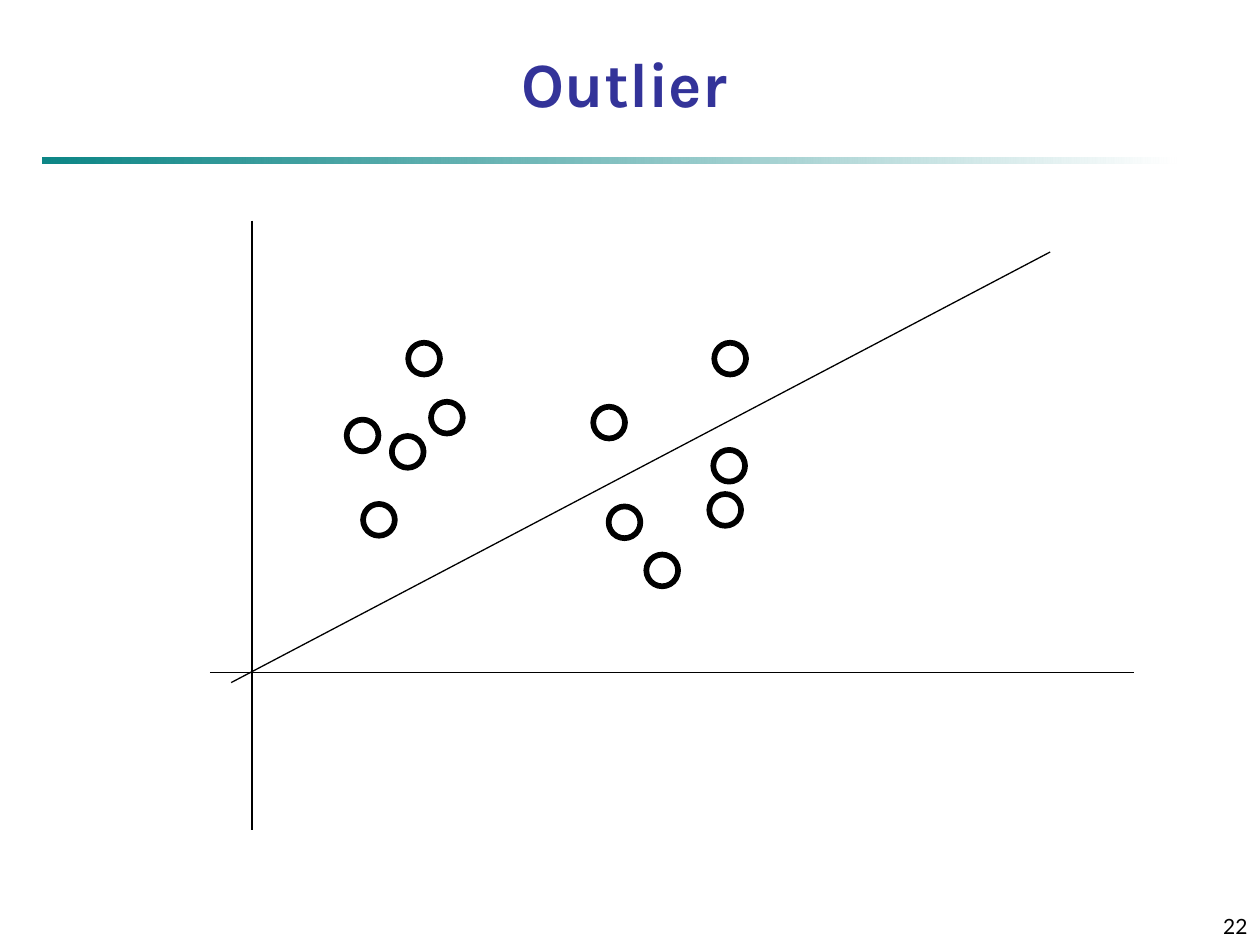
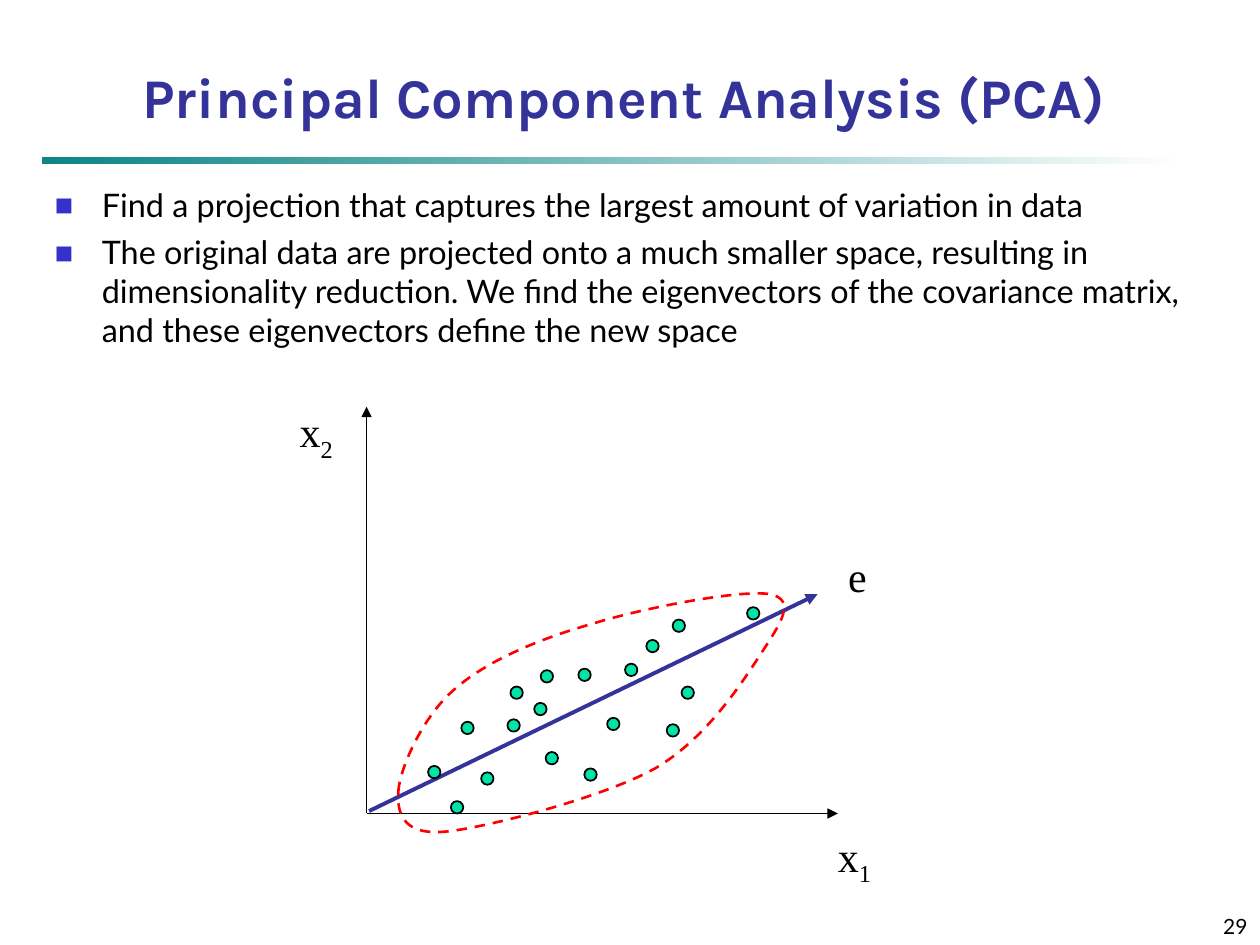
from dataclasses import dataclass

from lxml.etree import SubElement
from pptx import Presentation
from pptx.dml.color import RGBColor
from pptx.enum.dml import MSO_LINE
from pptx.enum.shapes import MSO_CONNECTOR, MSO_SHAPE
from pptx.enum.text import MSO_ANCHOR, MSO_AUTO_SIZE, PP_ALIGN
from pptx.oxml.ns import qn
from pptx.util import Cm, Pt

COLOURS = {
    "title": "333399",
    "text": "000000",
    "paper": "FFFFFF",
    "band": "008080",
    "bullet": "3333CC",
    "dot": "00E4A8",
    "cluster": "FF0000",
}
TITLE_FONT, BODY_FONT, LABEL_FONT = "Karla", "Lato", "Times New Roman"
TITLE_ONLY, TITLE_AND_BODY = 5, 1

# Left and top of each marker in cm, measured from the corner of its plot
RING_SIZE = 0.64
LEFT_RINGS = [(2.76, 4.01), (4.46, 3.65), (3.09, 5.71), (3.67, 4.34), (4, 2.46)]
RIGHT_RINGS = [(7.73, 3.75), (10.07, 5.51), (10.15, 4.62), (8.04, 5.76),
               (8.8, 6.73), (10.17, 2.46)]
DOT_SIZE = 0.25
DOTS = [(1.91, 6.35), (2.9, 5.64), (1.24, 7.24), (3.38, 5.97), (2.84, 6.3),
        (4.85, 6.27), (4.39, 7.29), (3.61, 6.96), (4.27, 5.28), (6.35, 5.64),
        (7.67, 4.04), (2.31, 7.37), (5.21, 5.18), (6.17, 4.29), (3.51, 5.31),
        (5.64, 4.7), (6.05, 6.4), (1.7, 7.95)]
# A start point, then two control points and an end point for each curve
CLUSTER_CURVE = [(0.64, 7.77),
                 (0.66, 7.32), (1.12, 6.25), (1.78, 5.69),
                 (2.44, 5.11), (3.51, 4.67), (4.57, 4.37),
                 (5.64, 4.04), (7.57, 3.68), (8.13, 3.78),
                 (8.69, 3.89), (8.33, 4.39), (7.95, 4.98),
                 (7.57, 5.56), (6.86, 6.68), (5.82, 7.29),
                 (4.78, 7.87), (2.51, 8.46), (1.65, 8.56),
                 (0.79, 8.66), (0.61, 8.26), (0.64, 7.77)]


@dataclass
class Box:
    """An area of the slide, in centimetres."""
    left: float
    top: float
    width: float
    height: float

    def point(self, x, y):
        return Cm(self.left + x), Cm(self.top + y)

    def inner(self, x, y, width, height):
        return Box(self.left + x, self.top + y, width, height)

    def frame(self):
        return Cm(self.left), Cm(self.top), Cm(self.width), Cm(self.height)


def colour(name):
    return RGBColor.from_string(COLOURS[name])


def place(shape, box):
    shape.left, shape.top, shape.width, shape.height = box.frame()


def add_span(para, text, font, size, colour_name="text", bold=False):
    span = para.add_run()
    span.text = text
    span.font.name = font
    span.font.size = Pt(size)
    span.font.bold = bold
    span.font.color.rgb = colour(colour_name)
    return span


def add_line(page, box, start, end, width, colour_name="text", arrow=False):
    line = page.shapes.add_connector(
        MSO_CONNECTOR.STRAIGHT, *box.point(*start), *box.point(*end))
    line.line.width = Pt(width)
    line.line.color.rgb = colour(colour_name)
    properties = line._element.spPr
    if arrow:
        SubElement(properties.find(qn("a:ln")), qn("a:tailEnd"), type="triangle")
    SubElement(properties, qn("a:effectLst"))


def add_markers(page, box, places, size, fill, line_width):
    for x, y in places:
        marker = page.shapes.add_shape(
            MSO_SHAPE.OVAL, *box.inner(x, y, size, size).frame())
        marker.shadow.inherit = False
        marker.fill.solid()
        marker.fill.fore_color.rgb = colour(fill)
        marker.line.color.rgb = colour("text")
        marker.line.width = Pt(line_width)


def add_label(page, box, text, subscript=""):
    label = page.shapes.add_textbox(*box.frame())
    label.text_frame.word_wrap = False
    label.text_frame.vertical_anchor = MSO_ANCHOR.MIDDLE
    para = label.text_frame.paragraphs[0]
    para.alignment = PP_ALIGN.CENTER
    add_span(para, text, LABEL_FONT, 24)
    if subscript:
        span = add_span(para, subscript, LABEL_FONT, 24)
        span.font._element.set("baseline", "-25000")


def add_cluster_outline(page, box):
    """Draw the closed dashed curve around the dots."""
    start, *rest = [box.point(x, y) for x, y in CLUSTER_CURVE]
    builder = page.shapes.build_freeform(*start)
    builder.add_line_segments(rest, close=True)
    outline = builder.convert_to_shape()
    outline.shadow.inherit = False
    outline.fill.background()
    outline.line.color.rgb = colour("cluster")
    outline.line.width = Pt(1.5)
    outline.line.dash_style = MSO_LINE.DASH

    # Each three straight segments become one Bézier curve
    segments = list(outline._element.iter(qn("a:lnTo")))
    for first in range(0, len(segments), 3):
        curve = segments[first]
        curve.tag = qn("a:cubicBezTo")
        for segment in segments[first + 1:first + 3]:
            curve.append(segment[0])
            segment.getparent().remove(segment)


def add_band_to_master(deck, page, box):
    """Draw the fading band and move it to the master, behind every slide."""
    band = page.shapes.add_shape(MSO_SHAPE.RECTANGLE, *box.frame())
    band.shadow.inherit = False
    band.line.fill.background()
    band.fill.gradient()
    band.fill.gradient_angle = 0
    for stop, position, name in zip(
            band.fill.gradient_stops, (0, 1), ("band", "paper")):
        stop.position = position
        stop.color.rgb = colour(name)
    first_colour = next(band._element.spPr.iter(qn("a:srgbClr")))
    SubElement(first_colour, qn("a:alpha"), val="95000")
    deck.slide_master.shapes._spTree.append(band._element)


def add_title(page, box, text, size):
    title = page.shapes.title
    place(title, box)
    title.text_frame.auto_size = MSO_AUTO_SIZE.NONE
    title.text_frame.vertical_anchor = MSO_ANCHOR.BOTTOM
    para = title.text_frame.paragraphs[0]
    para.alignment = PP_ALIGN.CENTER
    add_span(para, text, TITLE_FONT, size, "title", bold=True)


def add_page_number(page, box, number):
    corner = page.shapes.add_textbox(*box.frame())
    corner.text_frame.word_wrap = True
    corner.text_frame.vertical_anchor = MSO_ANCHOR.BOTTOM
    para = corner.text_frame.paragraphs[0]
    para.alignment = PP_ALIGN.RIGHT
    add_span(para, str(number), BODY_FONT, 12)


def add_bullets(page, box, lines):
    body = page.placeholders[1]
    place(body, box)
    frame = body.text_frame
    frame.auto_size = MSO_AUTO_SIZE.NONE
    for index, text in enumerate(lines):
        para = frame.add_paragraph() if index else frame.paragraphs[0]
        para.line_spacing = 1.0
        para.space_before = Pt(5)
        add_span(para, text, BODY_FONT, 18.5)
        properties = para._p.get_or_add_pPr()
        properties.set("marL", str(Cm(0.95)))
        properties.set("indent", str(Cm(-0.95)))
        bullet_colour = SubElement(properties, qn("a:buClr"))
        SubElement(bullet_colour, qn("a:srgbClr"), val=COLOURS["bullet"])
        SubElement(properties, qn("a:buSzPct"), val="60000")
        SubElement(properties, qn("a:buFont"), typeface=BODY_FONT)
        SubElement(properties, qn("a:buChar"), char="■")


def add_outlier_plot(page, box):
    axis_x, axis_y = 0.85, 9.1
    add_line(page, box, (0, axis_y), (box.width, axis_y), 0.75)
    add_line(page, box, (axis_x, 0), (axis_x, box.height), 0.75)
    add_markers(page, box, LEFT_RINGS + RIGHT_RINGS, RING_SIZE, "paper", 3.25)
    add_line(page, box, (0.43, 9.31), (16.94, 0.63), 0.75)


def add_pca_plot(page, box):
    origin = (0, box.height)
    add_line(page, box, origin, (0, 0), 1, arrow=True)
    add_line(page, box, origin, (box.width, box.height), 1, arrow=True)
    add_line(page, box, (0.05, 8.15), (9.09, 3.78), 2.25, "title", arrow=True)
    add_markers(page, box, DOTS, DOT_SIZE, "dot", 1)
    add_cluster_outline(page, box)
    add_label(page, box.inner(-1.6, -0.15, 1.17, 1.42), "x", "2")
    add_label(page, box.inner(9.25, 8.41, 1.17, 1.42), "x", "1")
    add_label(page, box.inner(9.45, 2.77, 0.89, 1.27), "e")


def add_page(deck, layout, title, title_box, title_size, number):
    page = deck.slides.add_slide(deck.slide_layouts[layout])
    add_title(page, title_box, title, title_size)
    add_page_number(page, Box(20.11, 17.99, 5.29, 1.06), number)
    return page


def main():
    deck = Presentation()
    deck.slide_width, deck.slide_height = Cm(25.4), Cm(19.05)

    outlier = add_page(deck, TITLE_ONLY, "Outlier",
                       Box(0.42, 0.85, 24.34, 1.69), 36, 22)
    add_band_to_master(deck, outlier, Box(0.85, 3.17, 22.86, 0.13))
    add_outlier_plot(outlier, Box(4.23, 4.45, 18.63, 12.28))

    pca = add_page(deck, TITLE_AND_BODY, "Principal Component Analysis (PCA)",
                   Box(0.42, 0.42, 24.34, 2.33), 32, 29)
    add_bullets(pca, Box(0.85, 3.6, 23.28, 4.45), [
        "Find a projection that captures the largest amount of variation in data",
        "The original data are projected onto a much smaller space, resulting in "
        "dimensionality reduction. We find the eigenvectors of the covariance "
        "matrix, and these eigenvectors define the new space",
    ])
    add_pca_plot(pca, Box(7.39, 8.2, 9.5, 8.2))

    deck.save("out.pptx")


if __name__ == "__main__":
    main()
